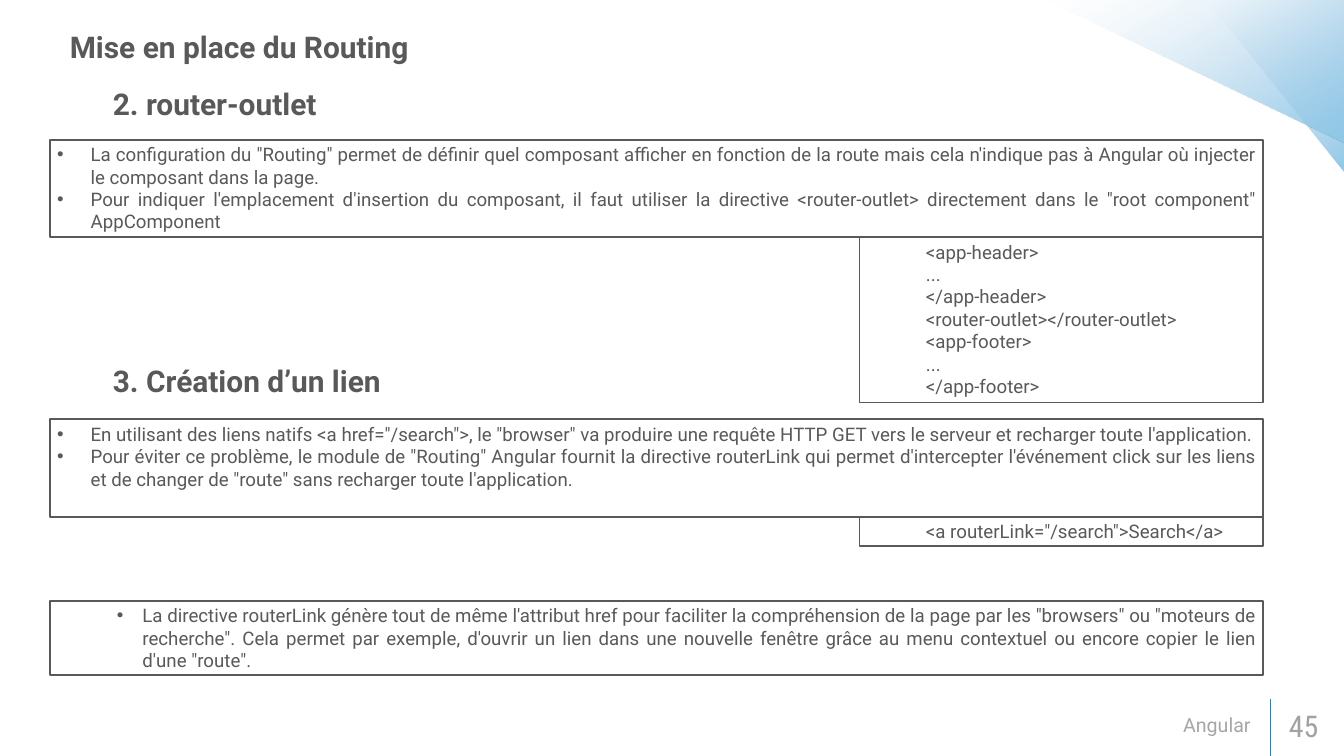
from lxml import etree
from pptx import Presentation
from pptx import util as u
from pptx.dml.color import RGBColor
from pptx.enum import shapes, text
from pptx.oxml import parse_xml
from pptx.oxml.ns import nsdecls, qn


def inches(value):
    return u.Cm(value * 2.54)


def colour(value):
    return RGBColor.from_string(value)


class Deck:
    font = "Roboto"
    ink = "595959"
    body_size = 20
    title_size = 32

    def __init__(self):
        self.prs = Presentation()
        self.prs.slide_width, self.prs.slide_height = inches(20), inches(11.25)
        self.slide = self.prs.slides.add_slide(self.prs.slide_layouts[6])

    def style(self, paragraph, size, ink=None, bold=False, font=None):
        for run in paragraph.runs:
            run.font.size = u.Pt(size)
            run.font.name = font or self.font
            run.font.bold = bold
            run.font.color.rgb = colour(ink or self.ink)

    def triangle(self, left, width, height):
        facet = self.slide.shapes.add_shape(
            shapes.MSO_SHAPE.RIGHT_TRIANGLE, *map(inches, (left, 0, width, height)))
        facet.shadow.inherit = False
        facet.rotation = 180
        facet.line.fill.background()
        stops = "".join(
            f'<a:gs pos="{pos * 1000}"><a:srgbClr val="{tint}">'
            f'<a:alpha val="{alpha * 1000}"/></a:srgbClr></a:gs>'
            for pos, tint, alpha in ((0, "8FC8E8", 100), (50, "A4CEE9", 44), (100, "DEEDF6", 0)))
        gradient = parse_xml(
            f'<a:gradFill {nsdecls("a")} rotWithShape="1"><a:gsLst>{stops}</a:gsLst>'
            '<a:lin ang="3600000" scaled="0"/></a:gradFill>')
        facet.element.spPr.find(qn("a:prstGeom")).addnext(gradient)

    def rule(self, x, top, bottom, ink):
        divider = self.slide.shapes.add_connector(
            shapes.MSO_CONNECTOR.STRAIGHT, *map(inches, (x, bottom, x, top)))
        divider.line.color.rgb = colour(ink)
        divider.line.width = u.Pt(1)
        etree.SubElement(divider.element.spPr, qn("a:effectLst"))

    def heading(self, words, left, top, width):
        box = self.slide.shapes.add_textbox(*map(inches, (left, top, width, 0.64)))
        box.text_frame.word_wrap = False
        box.text_frame.text = words
        self.style(box.text_frame.paragraphs[0], self.title_size, bold=True)

    def footer(self, words, left, width, size, ink, font, align):
        box = self.slide.shapes.add_textbox(*map(inches, (left, 10.49, width, 0.6)))
        frame = box.text_frame
        frame.word_wrap = True
        frame.vertical_anchor = text.MSO_ANCHOR.MIDDLE
        frame.margin_left = frame.margin_right = inches(0.18)
        frame.margin_top = frame.margin_bottom = inches(0.09)
        frame.text = words
        frame.paragraphs[0].alignment = align
        self.style(frame.paragraphs[0], size, ink, font=font)

    def panel(self, lines, left, top, width, height, margin, indent=0):
        box = self.slide.shapes.add_shape(
            shapes.MSO_SHAPE.RECTANGLE, *map(inches, (left, top, width, height)))
        box.shadow.inherit = False
        box.fill.solid()
        box.fill.fore_color.rgb = colour("FFFFFF")
        box.line.color.rgb = colour(self.ink)
        box.line.width = u.Pt(2)
        frame = box.text_frame
        frame.word_wrap = True
        frame.vertical_anchor = text.MSO_ANCHOR.TOP
        frame.text = "\n".join(lines)
        for paragraph in frame.paragraphs:
            paragraph.alignment = text.PP_ALIGN.JUSTIFY
            props = paragraph._p.get_or_add_pPr()
            props.set("marL", str(inches(margin)))
            props.set("indent", str(inches(indent)))
            if indent:
                etree.SubElement(props, qn("a:buFont"), typeface="Arial")
                etree.SubElement(props, qn("a:buChar"), char="•")
            self.style(paragraph, self.body_size)

    def bullets(self, lines, top, height, margin=0.5, hang=0.5):
        self.panel(lines, 0.75, top, 18.05, height, margin, -hang)

    def code(self, lines, top, height):
        self.panel(lines, 12.79, top, 6.01, height, 0.89)


def main():
    deck = Deck()
    deck.rule(18.91, 10.4, 11.25, "0098BF")
    deck.triangle(17.96, 2.04, 2.57)
    deck.triangle(15.54, 4.48, 2.13)
    deck.footer("Angular", 10.29, 8.5, 21, "A6A6A6", "Roboto", text.PP_ALIGN.RIGHT)
    deck.footer("45", 19, 0.99, 32, "A2A2A2", "Roboto Condensed", text.PP_ALIGN.LEFT)

    deck.heading("Mise en place du Routing", 0.94, 0.37, 5.6)
    deck.heading("2. router-outlet", 1.58, 1.23, 3.36)
    deck.bullets([
        "La configuration du \"Routing\" permet de définir quel composant afficher en fonction "
        "de la route mais cela n'indique pas à Angular où injecter le composant dans la page.",
        "Pour indiquer l'emplacement d'insertion du composant, il faut utiliser la directive "
        "<router-outlet> directement dans le \"root component\" AppComponent",
    ], 2.08, 1.45)
    deck.code([
        "<app-header>", "...", "</app-header>",
        "<router-outlet></router-outlet>",
        "<app-footer>", "...", "</app-footer>",
    ], 3.53, 2.46)

    deck.heading("3. Création d’un lien", 1.58, 5.35, 4.48)
    deck.bullets([
        "En utilisant des liens natifs <a href=\"/search\">, le \"browser\" va produire une "
        "requête HTTP GET vers le serveur et recharger toute l'application.",
        "Pour éviter ce problème, le module de \"Routing\" Angular fournit la directive "
        "routerLink qui permet d'intercepter l'événement click sur les liens et de changer "
        "de \"route\" sans recharger toute l'application.",
    ], 6.24, 1.45)
    deck.code(["<a routerLink=\"/search\">Search</a>"], 7.69, 0.44)
    deck.bullets([
        "La directive routerLink génère tout de même l'attribut href pour faciliter la "
        "compréhension de la page par les \"browsers\" ou \"moteurs de recherche\". Cela permet "
        "par exemple, d'ouvrir un lien dans une nouvelle fenêtre grâce au menu contextuel ou "
        "encore copier le lien d'une \"route\".",
    ], 8.94, 1.11, 1.27, 0.38)
    deck.prs.save("out.pptx")


if __name__ == "__main__":
    main()
